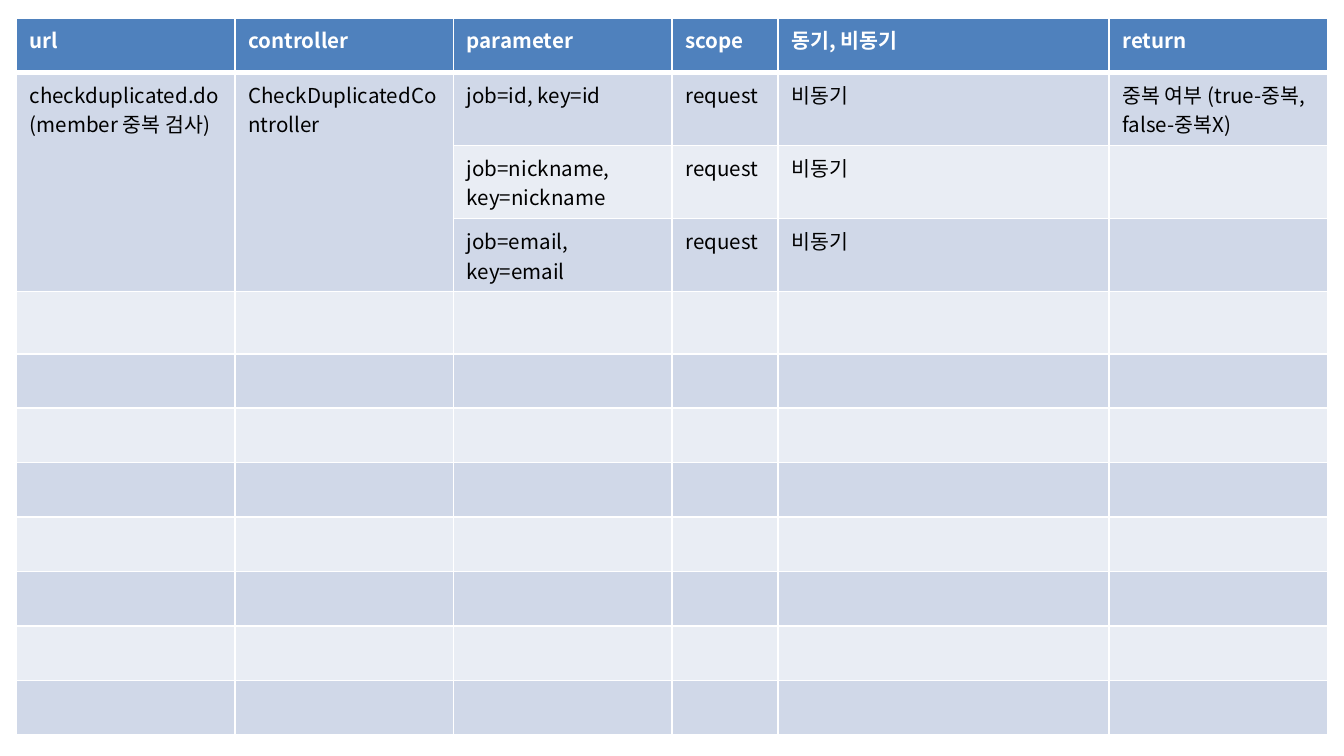
import pptx
import pptx.util
import pptx.dml.color
import pptx.oxml
import pptx.oxml.ns

WIDE = 10
HIGH = WIDE * 9 / 16
FONT = "Noto Sans CJK KR"
SIZE = 11
HUES = {"head": "4F81BD", "odd": "D0D8E8", "even": "E9EDF4",
        "white": "FFFFFF", "black": "000000"}
COLS = [1.63, 1.63, 1.63, 0.79, 2.47, 1.63]  # relative widths
ROWS = 12
TALL = 4  # the first empty row keeps the default text size

HEAD = ["url", "controller", "parameter", "scope", "동기, 비동기", "return"]
BODY = [
    ["checkduplicated.do\n(member 중복 검사)", "CheckDuplicatedController",
     "job=id, key=id", "request", "비동기", "중복 여부 (true-중복, false-중복X)"],
    ["", "", "job=nickname, key=nickname", "request", "비동기", ""],
    ["", "", "job=email, key=email", "request", "비동기", ""],
]


def tint(hue):
    return pptx.dml.color.RGBColor.from_string(HUES[hue])


def add_font(props):
    """Name the font for Korean text."""
    face = pptx.oxml.parse_xml(
        f'<a:ea {pptx.oxml.ns.nsdecls("a")} typeface="{FONT}"/>')
    props.append(face)


def write(cell, text, hue, bold):
    for i, line in enumerate(text.split("\n")):
        frame = cell.text_frame
        para = frame.add_paragraph() if i else frame.paragraphs[0]
        # Keep commas inside the cell margin
        para._p.get_or_add_pPr().set("hangingPunct", "0")
        run = para.add_run()
        run.text = line
        run.font.size = pptx.util.Pt(SIZE)
        run.font.name = FONT
        run.font.bold = bold
        run.font.color.rgb = tint(hue)
        add_font(run.font._element)


def size_blank(cell, size):
    """Set the text size that gives an empty cell its height."""
    end = pptx.oxml.parse_xml(
        f'<a:endParaRPr {pptx.oxml.ns.nsdecls("a")} sz="{size * 100}">'
        f'<a:latin typeface="{FONT}"/></a:endParaRPr>')
    add_font(end)
    cell.text_frame.paragraphs[0]._p.append(end)


def edge(cell, row):
    """Rule the cell in white, thicker below the header."""
    props = cell._tc.get_or_add_tcPr()
    thick = {"T": 3 if row == 1 else 1, "B": 3 if row == 0 else 1}
    for side in "LRTB":
        wide = pptx.util.Pt(thick.get(side, 1))
        props.append(pptx.oxml.parse_xml(
            f'<a:ln{side} {pptx.oxml.ns.nsdecls("a")} w="{wide}"><a:solidFill>'
            f'<a:srgbClr val="{HUES["white"]}"/></a:solidFill></a:ln{side}>'))


def add_grid(slide, left, top, wide, high):
    box = [pptx.util.Inches(n) for n in (left, top, wide, high)]
    table = slide.shapes.add_table(ROWS, len(COLS), *box).table
    for col, share in zip(table.columns, COLS):
        col.width = pptx.util.Inches(wide * share / sum(COLS))
    for row in table.rows:
        row.height = pptx.util.Inches(high / ROWS)

    # Header, filled rows, then empty rows
    lines = [HEAD] + BODY
    lines += [[""] * len(COLS)] * (ROWS - len(lines))
    for r, line in enumerate(lines):
        fill = "head" if r == 0 else "odd" if r % 2 else "even"
        for c, text in enumerate(line):
            cell = table.cell(r, c)
            edge(cell, r)
            cell.fill.solid()
            cell.fill.fore_color.rgb = tint(fill)
            if text:
                write(cell, text, "black" if r else "white", r == 0)
            else:
                size_blank(cell, 18 if r == TALL else SIZE)

    # One controller serves three requests
    for c in range(2):
        table.cell(1, c).merge(table.cell(len(BODY), c))


def main():
    deck = pptx.Presentation()
    deck.slide_width = pptx.util.Inches(WIDE)
    deck.slide_height = pptx.util.Inches(HIGH)
    slide = deck.slides.add_slide(deck.slide_layouts[6])
    margin = WIDE * 0.012
    add_grid(slide, margin, HIGH / 42, WIDE - 2 * margin, HIGH * 0.865)
    deck.save("out.pptx")


if __name__ == "__main__":
    main()
